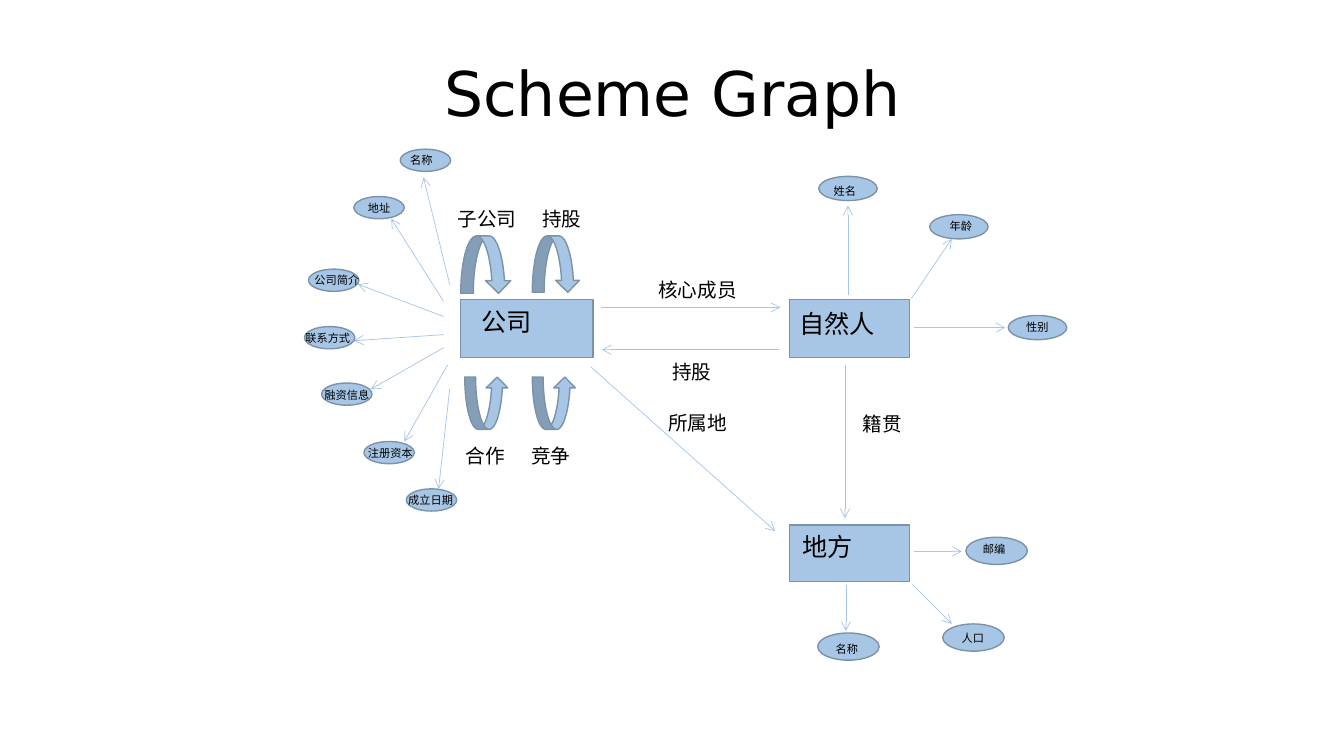
from lxml import etree
from pptx import Presentation
from pptx.dml.color import RGBColor
from pptx.enum.shapes import MSO_CONNECTOR, MSO_SHAPE
from pptx.enum.text import MSO_ANCHOR, MSO_AUTO_SIZE, PP_ALIGN
from pptx.oxml.ns import qn
from pptx.util import Inches, Pt

RECTANGLE = MSO_SHAPE.RECTANGLE
ELLIPSE = MSO_SHAPE.OVAL
LOOP_ABOVE = MSO_SHAPE.CURVED_DOWN_ARROW
LOOP_BELOW = MSO_SHAPE.CURVED_UP_ARROW
STRAIGHT = MSO_CONNECTOR.STRAIGHT
MIDDLE = MSO_ANCHOR.MIDDLE
CENTER = PP_ALIGN.CENTER
NO_AUTOFIT = MSO_AUTO_SIZE.NONE
GROW = MSO_AUTO_SIZE.SHAPE_TO_FIT_TEXT

ENTITIES = [
    ("公司", (45.7, 29.7, 13.1, 5.8), (46.8, 29.9, 9.6, 4)),
    ("自然人", (78.3, 29.7, 11.9, 5.8), (78.3, 30.1, 11.9, 4)),
    ("地方", (78.3, 52.1, 11.9, 5.6), (78.6, 52.2, 11.6, 4)),
]

LOOPS = [
    ("子公司", LOOP_ABOVE, (45.7, 23.4, 5, 5.7), (44.4, 20, 8.4, 3.4)),
    ("持股", LOOP_ABOVE, (52.8, 23.4, 4.7, 5.6), (52.8, 20, 6, 3.4)),
    ("合作", LOOP_BELOW, (46.1, 37.4, 4.3, 5.2), (45.2, 43.6, 6.8, 3.4)),
    ("竞争", LOOP_BELOW, (52.8, 37.4, 4.3, 5.2), (51.7, 43.6, 6.8, 3.4)),
]

RELATIONS = [
    ("核心成员", (59.6, 30.5), (77.4, 30.5), (64.3, 27.1, 11.7, 3.4)),
    ("所属地", (58.6, 36.4), (76.9, 52.7), (65.3, 40.3, 10.6, 3.4)),
    ("籍贯", (83.8, 36.2), (83.8, 51.4), (84.6, 40.4, 9.7, 3.4)),
    ("持股", (77.3, 34.7), (59.7, 34.7), (65.7, 35.2, 11.2, 3.4)),
]

ATTRIBUTE_GROUPS = [
    ((5, 2.2), 7.6, [
        ("名称", (39.7, 14.8), (39.7, 14.7), (44.6, 28.2), (42, 17.6)),
        ("地址", (35.1, 19.5), (35.5, 19.5), (44, 29.9), (38.8, 21.7)),
        ("公司简介", (30.6, 26.7), (30.2, 26.6), (44, 31.4), (35.5, 28.2)),
        ("联系方式", (30.2, 32.4), (29.3, 32.4), (44, 33.2), (35.1, 33.8)),
        ("融资信息", (31.9, 38), (31.2, 38), (44, 34.5), (36.8, 38.6)),
        ("注册资本", (36.1, 43.8), (35.5, 43.8), (44.4, 36.2), (40.1, 43.8)),
        ("成立日期", (40.3, 48.5), (39.5, 48.5), (44.6, 38.6), (43.5, 48.5)),
    ]),
    ((5.8, 2.4), 6.5, [
        ("姓名", (81.2, 17.5), (81.7, 17.8), (84.1, 29.3), (84.1, 20.4)),
        ("年龄", (92.2, 21.3), (93.2, 21.3), (90.4, 29.6), (94.4, 23.7)),
        ("性别", (100, 31.3), (100.8, 31.3), (90.7, 32.5), (99.7, 32.5)),
    ]),
    ((6.1, 2.7), 6.3, [
        ("名称", (81.1, 62.8), (81.9, 63.2), (83.9, 58), (83.9, 62.6)),
        ("人口", (93.5, 61.9), (94.4, 62.1), (90.5, 58), (94.4, 61.9)),
        ("邮编", (95.8, 53.3), (96.5, 53.3), (90.7, 54.7), (95.4, 54.7)),
    ]),
]


def color(value):
    return RGBColor.from_string(value)


class GraphSlide:
    """Draws a styled graph on a grid of tenth-inch columns and rows."""

    font = "DejaVu Sans"
    ink = "000000"
    fill = "A7C6E5"
    outline = "7C92A9"
    cell = Inches(0.1)
    entity_size, relation_size, attribute_size = 18, 14, 8

    def __init__(self, presentation):
        self.slide = presentation.slides.add_slide(presentation.slide_layouts[5])

    def units(self, lengths):
        return [round(length * self.cell) for length in lengths]

    def place(self, shape, box):
        shape.left, shape.top, shape.width, shape.height = self.units(box)

    def set_text(self, text_frame, text, size):
        text_frame.text = text
        text_frame.word_wrap = True
        font = text_frame.paragraphs[0].runs[0].font
        font.name = self.font
        font.size = Pt(size)
        font.color.rgb = color(self.ink)

    def title(self, text, box):
        shape = self.slide.shapes.title
        self.place(shape, box)
        self.set_text(shape.text_frame, text, 44)
        shape.text_frame.auto_size = NO_AUTOFIT
        shape.text_frame.vertical_anchor = MIDDLE
        shape.text_frame.paragraphs[0].alignment = CENTER

    def label(self, text, box, size):
        shape = self.slide.shapes.add_textbox(*self.units(box))
        self.set_text(shape.text_frame, text, size)
        shape.text_frame.auto_size = GROW

    def node(self, kind, box):
        shape = self.slide.shapes.add_shape(kind, *self.units(box))
        shape.shadow.inherit = False
        shape.fill.solid()
        shape.fill.fore_color.rgb = color(self.fill)
        shape.line.color.rgb = color(self.outline)
        shape.line.width = Pt(1)

    def arrow(self, start, end):
        connector = self.slide.shapes.add_connector(STRAIGHT, *self.units(start + end))
        connector.line.color.rgb = color(self.fill)
        connector.line.width = Pt(0.5)
        properties = connector._element.spPr
        etree.SubElement(properties.find(qn("a:ln")), qn("a:tailEnd"), type="arrow")
        etree.SubElement(properties, qn("a:effectLst"))

    def entity(self, name, box, label_box):
        self.node(RECTANGLE, box)
        self.label(name, label_box, self.entity_size)

    def loop(self, name, kind, box, label_box):
        self.node(kind, box)
        self.label(name, label_box, self.relation_size)

    def relation(self, name, start, end, label_box):
        self.arrow(start, end)
        self.label(name, label_box, self.relation_size)

    def attribute(self, name, corner, label_corner, start, end, size, label_width):
        self.arrow(start, end)
        self.node(ELLIPSE, corner + size)
        self.label(name, label_corner + (label_width, 2.3), self.attribute_size)


def main():
    presentation = Presentation()
    presentation.slide_width = Inches(13.33)
    presentation.slide_height = Inches(7.5)
    graph = GraphSlide(presentation)
    graph.title("Scheme Graph", (6.7, 2.9, 120, 12.5))
    for entity in ENTITIES:
        graph.entity(*entity)
    for loop in LOOPS:
        graph.loop(*loop)
    for relation in RELATIONS:
        graph.relation(*relation)
    for size, label_width, attributes in ATTRIBUTE_GROUPS:
        for attribute in attributes:
            graph.attribute(*attribute, size, label_width)
    presentation.save("out.pptx")


if __name__ == "__main__":
    main()
